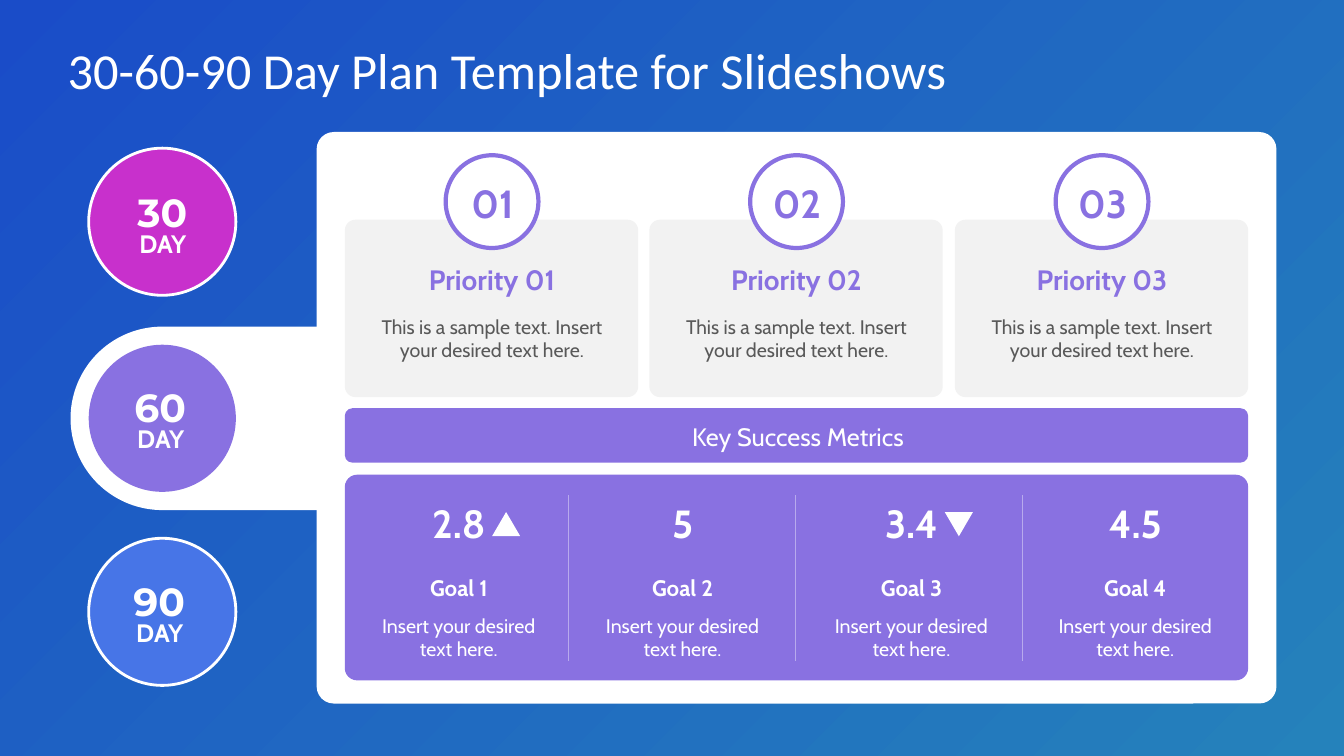
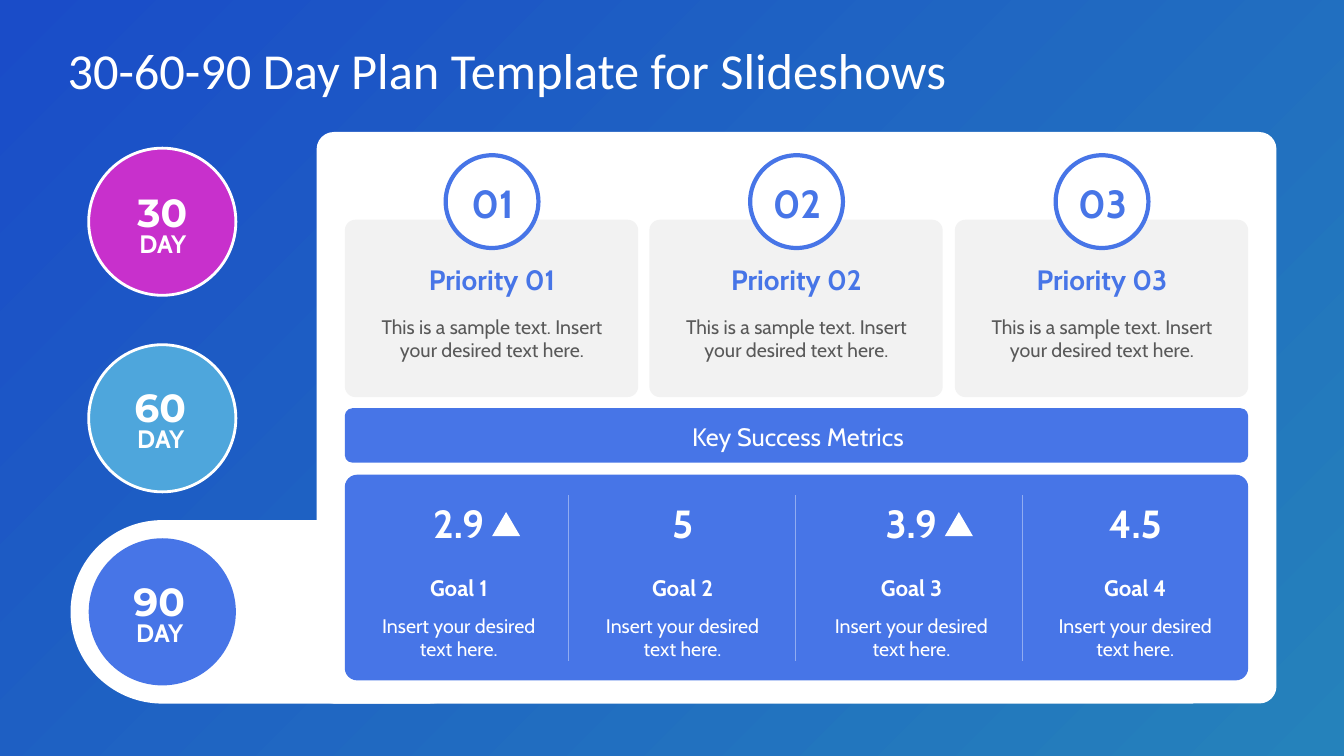
from lxml.etree import SubElement
from pptx import Presentation
from pptx.dml.color import RGBColor
from pptx.enum.shapes import MSO_CONNECTOR, MSO_SHAPE
from pptx.enum.text import MSO_ANCHOR, PP_ALIGN
from pptx.oxml.ns import qn
from pptx.util import Pt

PX = 9144  # 100 px to the inch
WHITE, GREY, PALE = "FFFFFF", "595959", "F2F2F2"
PINK, SKY, VIOLET, BLUE = "C830CC", "4EA6DC", "8971E1", "4775E7"
TITLE = "30-60-90 Day Plan Template for Slideshows"
ROUND, OVAL = MSO_SHAPE.ROUNDED_RECTANGLE, MSO_SHAPE.OVAL
ink = RGBColor.from_string


def shape(slide, kind, at, fill, line=None, width=2, bend=None):
    """Add a filled shape; bend is its corner adjustment."""
    item = slide.shapes.add_shape(kind, *[n * PX for n in at])
    item.shadow.inherit = False
    item.fill.solid()
    item.fill.fore_color.rgb = ink(fill)
    if line:
        item.line.color.rgb = ink(line)
        item.line.width = Pt(width)
    else:
        item.line.fill.background()
    if bend is not None:
        item.adjustments[0] = bend
    return item


def text(slide, words, at, size, color=WHITE, font="Cabin", bold=False,
         align=PP_ALIGN.CENTER, anchor=MSO_ANCHOR.TOP, pad=(0, 0), lead=None):
    """Add a text box; pad is its side and top inset, lead its line spacing."""
    frame = slide.shapes.add_textbox(*[n * PX for n in at]).text_frame
    frame.word_wrap = True
    frame.vertical_anchor = anchor
    frame.margin_left = frame.margin_right = pad[0] * PX
    frame.margin_top = frame.margin_bottom = pad[1] * PX
    para = frame.paragraphs[0]
    para.alignment = align
    para.line_spacing = lead
    run = para.add_run()
    run.text = words
    run.font.name = font
    run.font.size = Pt(size)
    run.font.bold = bold
    run.font.color.rgb = ink(color)


# Day, left of its number, top of its ring
days = [("30", 113, 147), ("60", 111, 342), ("90", 110, 534)]
goals = [364, 586, 813, 1035]

# Chosen day, ring colours, divider colour, goal values, turn of each arrow
plans = [
    (1, [PINK, VIOLET, BLUE], "B8AAED",
     ["2.8", "5", "3.4", "4.5"], {0: 0, 2: 180}),
    (2, [PINK, SKY, BLUE], "91ACF1",
     ["2.9", "5", "3.9", "4.5"], {0: 0, 2: 0}),
]

deck = Presentation()
deck.slide_width, deck.slide_height = 1333 * PX, 750 * PX

for chosen, tints, rule, values, arrows in plans:
    slide = deck.slides.add_slide(deck.slide_layouts[6])
    back = slide.background.fill
    back.gradient()
    back.gradient_angle = 315
    for stop, tint in zip(back.gradient_stops, ["1A4CC8", "2582BB"]):
        stop.color.rgb = ink(tint)
    accent = tints[chosen]

    # Panel with the tab of the chosen day
    shape(slide, ROUND, (70, days[chosen][2] - 18, 444, 182), WHITE, bend=0.5)
    shape(slide, ROUND, (314, 131, 952, 567), WHITE, bend=0.03)
    text(slide, TITLE, (67, 30, 1200, 78), 36, font="Calibri",
         align=PP_ALIGN.LEFT, anchor=MSO_ANCHOR.MIDDLE, pad=(0, 7))

    # Days
    for i, (day, left, top) in enumerate(days):
        shape(slide, OVAL, (88, top, 146, 146), tints[i],
              line=None if i == chosen else WHITE)
        base = 195 + 193 * i
        text(slide, day, (left, base, 96, 39), 28, font="Montserrat",
             bold=True, anchor=MSO_ANCHOR.MIDDLE, lead=0.8)
        text(slide, "DAY", (left + 2, base + 27, 93, 40), 18, bold=True,
             pad=(10, 5))

    # Priorities
    for i in range(3):
        left = 342 + 605 * i // 2
        shape(slide, ROUND, (left, 218, 291, 176), PALE, bend=0.06)
        shape(slide, OVAL, (left + 100, 154, 92, 92), WHITE, accent, 3)
        text(slide, f"0{i + 1}", (left + 120, 178, 53, 47), 28, accent,
             bold=True, anchor=MSO_ANCHOR.MIDDLE)
        text(slide, f"Priority 0{i + 1}", (left + 28, 260, 236, 34), 20,
             accent, bold=True)
        text(slide, "This is a sample text. Insert your desired text here.",
             (left + 28, 312, 236, 47), 14, GREY)

    # Metrics
    shape(slide, ROUND, (342, 405, 896, 54), accent, bend=0.14)
    text(slide, "Key Success Metrics", (363, 418, 857, 30), 18,
         anchor=MSO_ANCHOR.MIDDLE)
    shape(slide, ROUND, (342, 471, 896, 204), accent, bend=0.06)
    for x in range(564, 1015, 225):
        line = slide.shapes.add_connector(
            MSO_CONNECTOR.STRAIGHT, x * PX, 491 * PX, x * PX, 656 * PX)
        line.line.color.rgb = ink(rule)
        line.line.width = Pt(0.75)
        SubElement(line._element.spPr, qn("a:effectLst"))
    for i, (left, value) in enumerate(zip(goals, values)):
        text(slide, value, (left, 490, 182, 57), 28, bold=True, pad=(10, 5))
        text(slide, f"Goal {i + 1}", (left, 570, 182, 27), 16, bold=True)
        text(slide, "Insert your desired text here.",
             (left, 609, 182, 47), 14)
        if i in arrows:
            arrow = shape(slide, MSO_SHAPE.ISOSCELES_TRIANGLE,
                          (left + 124, 508, 28, 24), WHITE)
            arrow.rotation = arrows[i]

deck.save("out.pptx")
